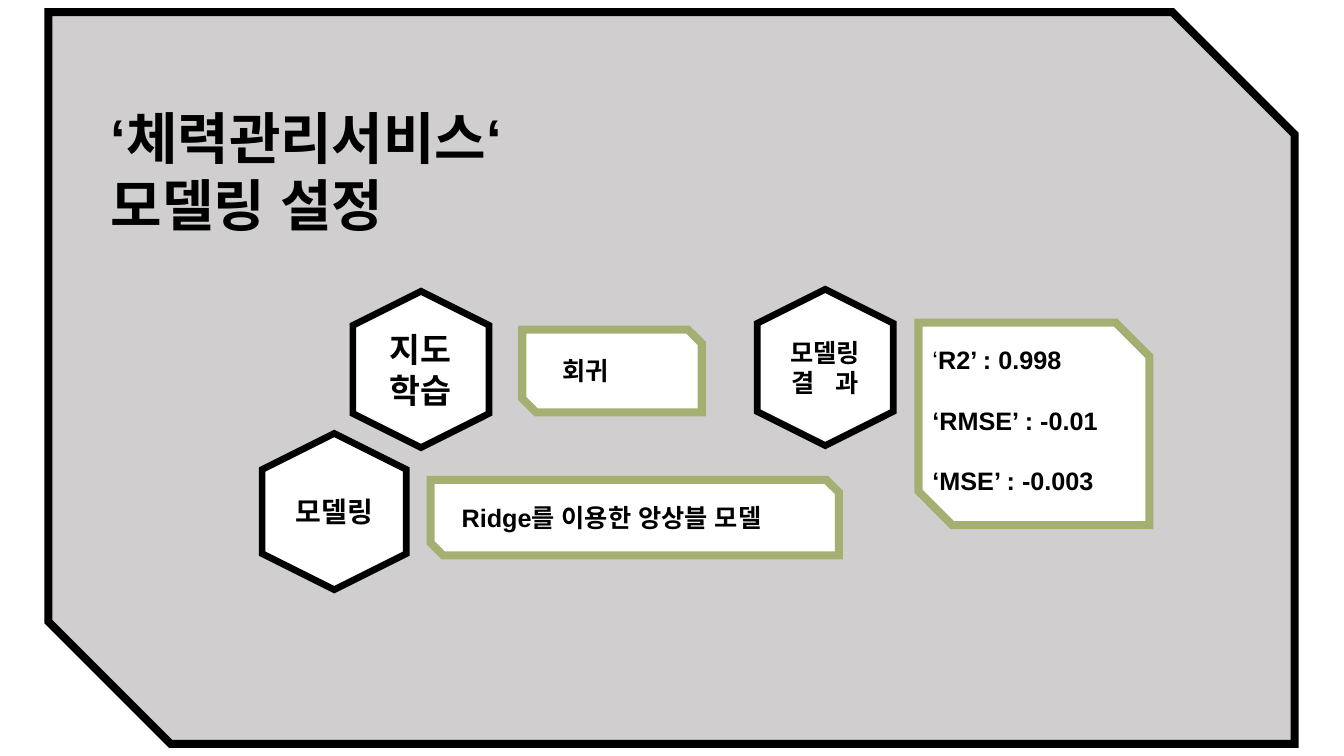
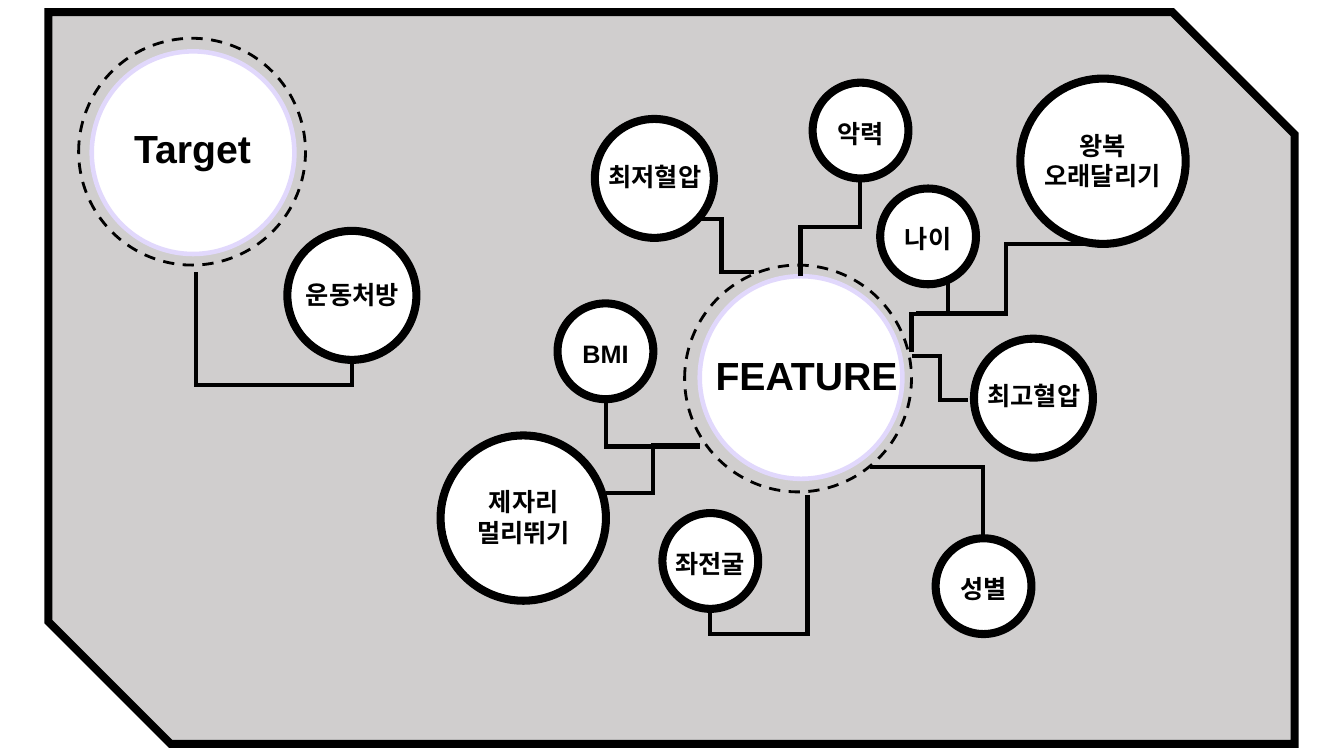
from dataclasses import dataclass

from lxml import etree
from pptx import Presentation
from pptx import util as u
from pptx.dml.color import RGBColor
from pptx.enum import dml, lang, shapes, text
from pptx.oxml.ns import qn

PX = 9144  # EMU in one px, 100 px to the inch
SLIDE_WIDTH, SLIDE_HEIGHT = 1333, 750

BLACK = RGBColor(0x00, 0x00, 0x00)
WHITE = RGBColor(0xFF, 0xFF, 0xFF)
GREY = RGBColor(0xD0, 0xCE, 0xCE)
OLIVE = RGBColor(0xA3, 0xB0, 0x72)
LILAC = RGBColor(0xE1, 0xD8, 0xFC)

LATIN_FONT = "Arial"
KOREAN_FONT = "Noto Sans CJK KR"
THICK, MEDIUM, FINE, DASHED = 5.75, 4.75, 3.25, 2
CONNECTOR_WIDTH = 3
TITLE_SIZE, HUB_SIZE, BODY_SIZE = 40, 28, 18


@dataclass(frozen=True)
class Area:
    x: int
    y: int
    width: int
    height: int


@dataclass(frozen=True)
class Span:
    text: str
    bold: bool = True
    tracking: int = 0  # extra points after each character


@dataclass(frozen=True)
class Label:
    area: Area
    lines: tuple[str | tuple[Span, ...], ...]
    size: int = BODY_SIZE
    font: str = LATIN_FONT
    centred: bool = False
    middle: bool = False
    space_before: float = 0


@dataclass(frozen=True)
class Hexagon:
    area: Area
    label: Label


@dataclass(frozen=True)
class Node:
    """A black-rimmed circle; drop moves its label down from the centre."""
    x: int
    y: int
    diameter: int
    lines: tuple[str, ...]
    drop: int = 0


@dataclass(frozen=True)
class Hub:
    disc: Area
    ring: Area
    label: Label


@dataclass(frozen=True)
class Elbow:
    """A bent line; turn is the share of the way to the first corner."""
    x1: int
    y1: int
    x2: int
    y2: int
    turn: float = 0.5
    vertical_first: bool = False


def px(value: float) -> u.Emu:
    return u.Emu(round(value * PX))


def place(area: Area) -> tuple[u.Emu, ...]:
    return px(area.x), px(area.y), px(area.width), px(area.height)


def set_line(shape, colour: RGBColor, width: float) -> None:
    """Give a shape or connector a solid line with sharp corners."""
    shape.line.color.rgb = colour
    shape.line.width = u.Pt(width)
    line = shape._element.spPr.find(qn("a:ln"))
    etree.SubElement(line, qn("a:miter")).set("lim", "800000")


def add_outline(page, kind, area: Area, colour: RGBColor, width: float,
                fill: RGBColor | None = WHITE):
    shape = page.shapes.add_shape(kind, *place(area))
    shape.shadow.inherit = False
    if fill is None:
        shape.fill.background()
    else:
        shape.fill.solid()
        shape.fill.fore_color.rgb = fill
    set_line(shape, colour, width)
    return shape


def add_snipped(page, area: Area, colour: RGBColor,
                fill: RGBColor = WHITE) -> None:
    shape = add_outline(page, shapes.MSO_SHAPE.SNIP_2_DIAG_RECTANGLE, area,
                        colour, THICK, fill)
    shape.adjustments[0] = 0
    shape.adjustments[1] = 0.167


def add_span(para, span: Span, label: Label) -> None:
    run = para.add_run()
    run.text = span.text
    run.font.name = label.font
    run.font.size = u.Pt(label.size)
    run.font.bold = span.bold
    run.font.color.rgb = BLACK
    run.font.language_id = lang.MSO_LANGUAGE_ID.KOREAN
    properties = run.font._element
    etree.SubElement(properties, qn("a:ea")).set("typeface", label.font)
    if span.tracking:
        properties.set("spc", str(span.tracking * 100))


def add_label(page, label: Label) -> None:
    frame = page.shapes.add_textbox(*place(label.area)).text_frame
    frame.word_wrap = True
    if label.middle:
        frame.vertical_anchor = text.MSO_ANCHOR.MIDDLE
    for index, line in enumerate(label.lines):
        para = frame.add_paragraph() if index else frame.paragraphs[0]
        if label.centred:
            para.alignment = text.PP_ALIGN.CENTER
        if index and label.space_before:
            para.space_before = u.Pt(label.space_before)
        for span in (Span(line),) if isinstance(line, str) else line:
            add_span(para, span, label)


def add_hexagon(page, hexagon: Hexagon) -> None:
    shape = add_outline(page, shapes.MSO_SHAPE.HEXAGON, hexagon.area,
                        BLACK, MEDIUM)
    shape.adjustments[0] = 0.25
    shape.adjustments[1] = 1.155
    shape.rotation = 90
    add_label(page, hexagon.label)


def add_node(page, node: Node) -> None:
    add_outline(page, shapes.MSO_SHAPE.OVAL,
                Area(node.x, node.y, node.diameter, node.diameter),
                BLACK, THICK)
    width, height = 267, 9 + 31 * len(node.lines)
    radius = node.diameter / 2
    area = Area(round(node.x + radius - width / 2),
                round(node.y + radius - height / 2) + node.drop,
                width, height)
    add_label(page, Label(area, node.lines, centred=True))


def add_hub(page, hub: Hub) -> None:
    ring = add_outline(page, shapes.MSO_SHAPE.OVAL, hub.ring, BLACK, DASHED,
                       None)
    ring.line.dash_style = dml.MSO_LINE.DASH
    add_outline(page, shapes.MSO_SHAPE.OVAL, hub.disc, LILAC, FINE)
    add_label(page, hub.label)


def add_elbow(page, elbow: Elbow) -> None:
    """Draw across first, or turn the line a quarter to go down first."""
    centre_x, centre_y = (elbow.x1 + elbow.x2) / 2, (elbow.y1 + elbow.y2) / 2
    half_x, half_y = (elbow.x2 - elbow.x1) / 2, (elbow.y2 - elbow.y1) / 2
    if elbow.vertical_first:
        half_x, half_y = half_y, -half_x
    line = page.shapes.add_connector(
        shapes.MSO_CONNECTOR.ELBOW,
        px(centre_x - half_x), px(centre_y - half_y),
        px(centre_x + half_x), px(centre_y + half_y))
    set_line(line, BLACK, CONNECTOR_WIDTH)
    properties = line._element.spPr
    if elbow.vertical_first:
        properties.find(qn("a:xfrm")).set("rot", str(90 * 60000))
    guides = properties.find(qn("a:prstGeom")).get_or_add_avLst()
    guide = etree.SubElement(guides, qn("a:gd"))
    guide.set("name", "adj1")
    guide.set("fmla", f"val {round(elbow.turn * 100000)}")
    etree.SubElement(properties, qn("a:effectLst"))


def add_page(deck):
    """Add a blank slide with the shared grey frame."""
    page = deck.slides.add_slide(deck.slide_layouts[6])
    add_snipped(page, Area(48, 12, 1236, 726), BLACK, GREY)
    return page


def hexagon_label(area: Area, size: int, *lines) -> Label:
    return Label(area, lines, size, KOREAN_FONT, centred=True, middle=True)


PANELS = (Area(518, 327, 178, 82), Area(427, 476, 405, 75),
          Area(911, 320, 229, 201))

HEXAGONS = (
    Hexagon(Area(340, 299, 155, 135),
            hexagon_label(Area(371, 313, 93, 107), 24, "지도", "학습")),
    Hexagon(Area(254, 436, 155, 143),
            hexagon_label(Area(283, 455, 97, 105), 20, "모델링")),
    Hexagon(Area(741, 297, 155, 135),
            hexagon_label(Area(772, 311, 93, 107), 18, "모델링",
                          (Span("결"), Span(" ", tracking=10), Span("과")))),
)

MODEL_LABELS = (
    Label(Area(548, 348, 164, 40), ("회귀",), font=KOREAN_FONT),
    Label(Area(448, 493, 375, 40), ("Ridge를 이용한 앙상블 모델",)),
    Label(Area(915, 337, 259, 162),
          ((Span("‘", bold=False), Span("R2’ : 0.998")),
           "‘RMSE’ : -0.01", "‘MSE’ : -0.003"), space_before=21.5),
    Label(Area(100, 98, 461, 145), ("‘체력관리서비스‘", "모델링 설정"),
          TITLE_SIZE),
)

HUBS = (
    Hub(Area(694, 274, 201, 201), Area(679, 263, 225, 225),
        Label(Area(652, 344, 296, 57), ("FEATURE",), HUB_SIZE, centred=True)),
    Hub(Area(91, 51, 201, 201), Area(78, 38, 225, 225),
        Label(Area(43, 118, 296, 57), ("Target",), HUB_SIZE, centred=True)),
)

SMALL, MIDDLE, WIDE, LARGE = 95, 118, 128, 164
NODES = (
    Node(873, 187, SMALL, ("나이",), 3),
    Node(553, 301, SMALL, ("BMI",), 3),
    Node(590, 118, MIDDLE, ("최저혈압",), -2),
    Node(657, 509, SMALL, ("좌전굴",), 3),
    Node(437, 432, LARGE, ("제자리", "멀리뛰기")),
    Node(1012, 78, LARGE, ("왕복", "오래달리기")),
    Node(806, 82, SMALL, ("악력",), 2),
    Node(928, 534, SMALL, ("성별",), 2),
    Node(966, 336, MIDDLE, ("최고혈압",), -3),
    Node(285, 229, WIDE, ("운동처방",), -1),
)

ELBOWS = (
    Elbow(748, 270, 694, 217, 0.6),
    Elbow(794, 274, 853, 176, vertical_first=True),
    Elbow(904, 349, 940, 274, vertical_first=True),
    Elbow(905, 353, 960, 397),
    Elbow(909, 311, 1086, 242),
    Elbow(694, 442, 601, 489),
    Elbow(863, 463, 975, 534, 1),
    Elbow(801, 491, 704, 604, 1.22, vertical_first=True),
    Elbow(694, 443, 601, 396, 1),
    Elbow(194, 270, 349, 357, 1.29, vertical_first=True),
)


def build_modelling(deck) -> None:
    page = add_page(deck)
    for panel in PANELS:
        add_snipped(page, panel, OLIVE)
    for hexagon in HEXAGONS:
        add_hexagon(page, hexagon)
    for label in MODEL_LABELS:
        add_label(page, label)


def build_features(deck) -> None:
    page = add_page(deck)
    for hub in HUBS:
        add_hub(page, hub)
    for node in NODES:
        add_node(page, node)
    for elbow in ELBOWS:
        add_elbow(page, elbow)


def main() -> None:
    deck = Presentation()
    deck.slide_width, deck.slide_height = px(SLIDE_WIDTH), px(SLIDE_HEIGHT)
    build_modelling(deck)
    build_features(deck)
    deck.save("out.pptx")


if __name__ == "__main__":
    main()
